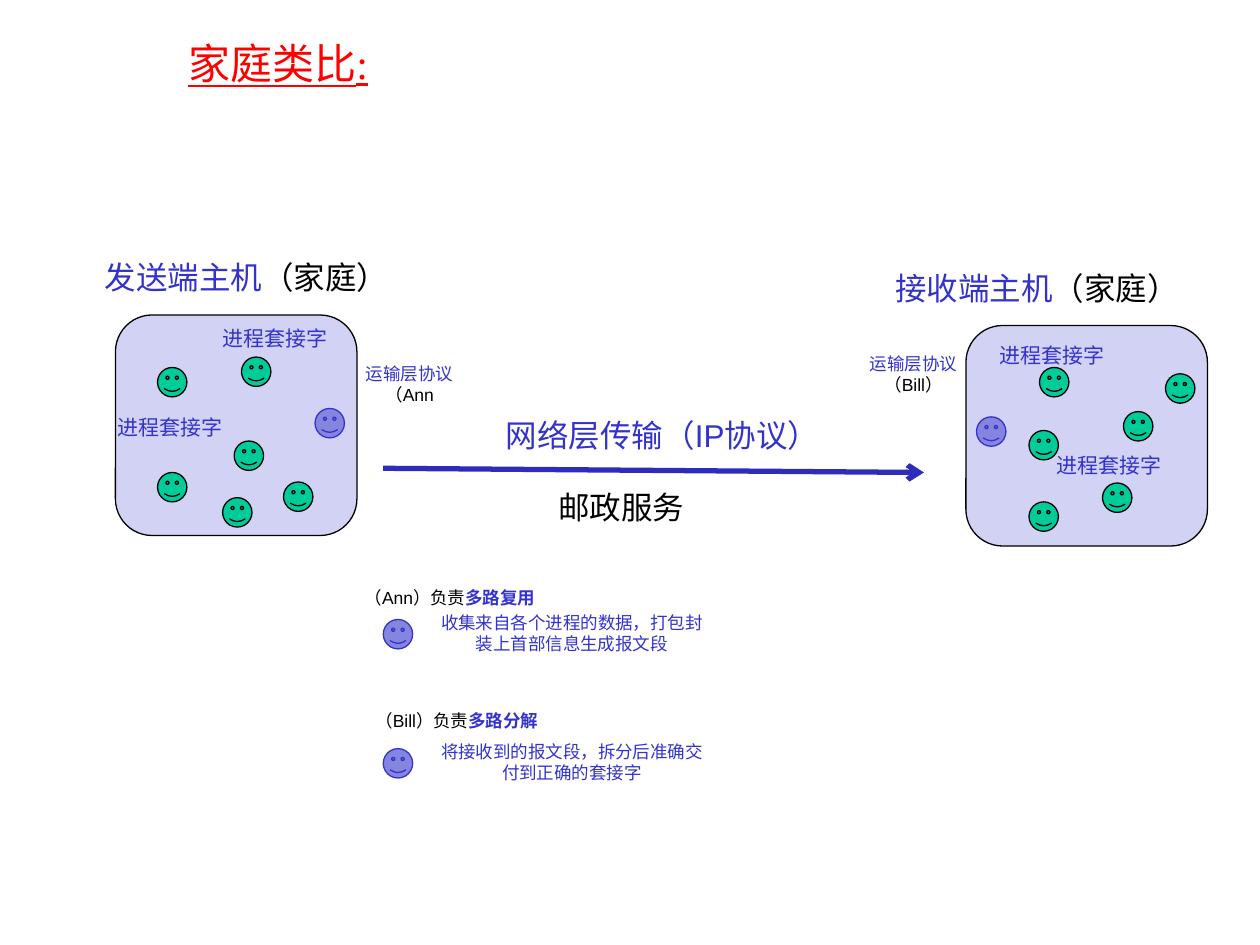
from lxml.etree import SubElement
from pptx import Presentation
from pptx.dml.color import RGBColor
from pptx.enum.shapes import MSO_CONNECTOR, MSO_SHAPE
from pptx.enum.text import MSO_AUTO_SIZE, PP_ALIGN
from pptx.oxml.ns import qn
from pptx.util import Inches, Pt

BLUE, BLACK, RED = "3333CC", "000000", "FF0000"
GREEN, LILAC, PALE, DARK_BLUE = "00CC99", "8585E0", "D2D2F4", "2D2DB9"

presentation = Presentation()
presentation.slide_width = Inches(10)
presentation.slide_height = Inches(7.5)
slide = presentation.slides.add_slide(presentation.slide_layouts[6])
column = presentation.slide_width / 120
row = presentation.slide_height / 90


def add_filled(kind, left, top, width, height, fill, line):
    shape = slide.shapes.add_shape(
        kind, int(left * column), int(top * row), int(width * column), int(height * row))
    shape.shadow.inherit = False
    shape.fill.solid()
    shape.fill.fore_color.rgb = RGBColor.from_string(fill)
    shape.line.color.rgb = RGBColor.from_string(line)
    shape.line.width = Pt(0.75)


def add_text(paragraphs, left, top, width, height, size=10, font="Arial",
             align=PP_ALIGN.LEFT, underline=None):
    box = slide.shapes.add_textbox(
        int(left * column), int(top * row), int(width * column), int(height * row))
    frame = box.text_frame
    frame.word_wrap = True
    frame.auto_size = MSO_AUTO_SIZE.SHAPE_TO_FIT_TEXT
    for index, runs in enumerate(paragraphs):
        paragraph = frame.add_paragraph() if index else frame.paragraphs[0]
        paragraph.alignment = align
        for text, color, *bold in runs:
            run = paragraph.add_run()
            run.text = text
            run.font.size = Pt(size)
            run.font.name = font
            run.font.bold = bool(bold)
            run.font.underline = underline
            run.font.color.rgb = RGBColor.from_string(color)


for left, top in [(92, 31), (11, 30)]:
    add_filled(MSO_SHAPE.ROUNDED_RECTANGLE, left, top, 23, 21, PALE, BLACK)

sender_faces = [(15, 35), (23, 34), (22.3, 42), (15, 45), (27, 45.9), (21.2, 47.4)]
receiver_faces = [(99, 35), (107, 39.2), (98, 41), (105, 46), (98, 47.8), (111, 35.6)]
protocol_faces = [(30, 38.9), (93, 39.7), (36.5, 59), (36.5, 71.3)]
for faces, fill, line in [(sender_faces + receiver_faces, GREEN, BLACK),
                          (protocol_faces, LILAC, BLUE)]:
    for left, top in faces:
        add_filled(MSO_SHAPE.SMILEY_FACE, left, top, 2.8, 2.8, fill, line)

arrow = slide.shapes.add_connector(
    MSO_CONNECTOR.STRAIGHT, int(36.5 * column), int(44.6 * row), int(88 * column), int(45 * row))
arrow.line.color.rgb = RGBColor.from_string(DARK_BLUE)
arrow.line.width = Pt(3)
SubElement(arrow.line._get_or_add_ln(), qn("a:tailEnd"), type="arrow")
SubElement(arrow._element.spPr, qn("a:effectLst"))

add_text([[("家庭类比:", RED)]], 3, 3, 47, 6, size=24, font="Times New Roman",
         align=PP_ALIGN.CENTER, underline=True)

for runs, left, top, width in [
    ([("发送端主机", BLUE), ("（家庭）", BLACK)], 8.8, 24, 29.8),
    ([("接收端主机", BLUE), ("（家庭）", BLACK)], 84.1, 25, 32.8),
    ([("网络层传输（IP协议）", BLUE)], 47, 39, 40),
    ([("邮政服务", BLACK)], 52, 45.9, 40),
]:
    add_text([runs], left, top, width, 4.8, size=18)

for left, top in [(20, 30.4), (10, 38.9), (94, 32), (99.4, 42.5)]:
    add_text([[("进程套接字", BLUE)]], left, top, 20, 3.6, size=12)

for paragraphs, left, top, width, height in [
    ([[("运输层协议", BLUE), ("（Ann", BLACK)]], 31.5, 34, 15, 5.3),
    ([[("运输层协议", BLUE)], [("（Bill）", BLACK)]], 78, 33, 18, 5.3),
    ([[("（Ann）负责", BLACK), ("多路复用", BLUE, True)]], 27.5, 55.3, 30.7, 3.2),
    ([[("收集来自各个进程的数据，打包封装上首部信息生成报文段", BLUE)]], 40, 57.7, 28.9, 5.3),
    ([[("（Bill）负责", BLACK), ("多路分解", BLUE, True)]], 34, 67, 19, 3.2),
    ([[("将接收到的报文段，拆分后准确交付到正确的套接字", BLUE)]], 40, 70, 28.9, 5.3),
]:
    add_text(paragraphs, left, top, width, height, align=PP_ALIGN.CENTER)

presentation.save("out.pptx")
